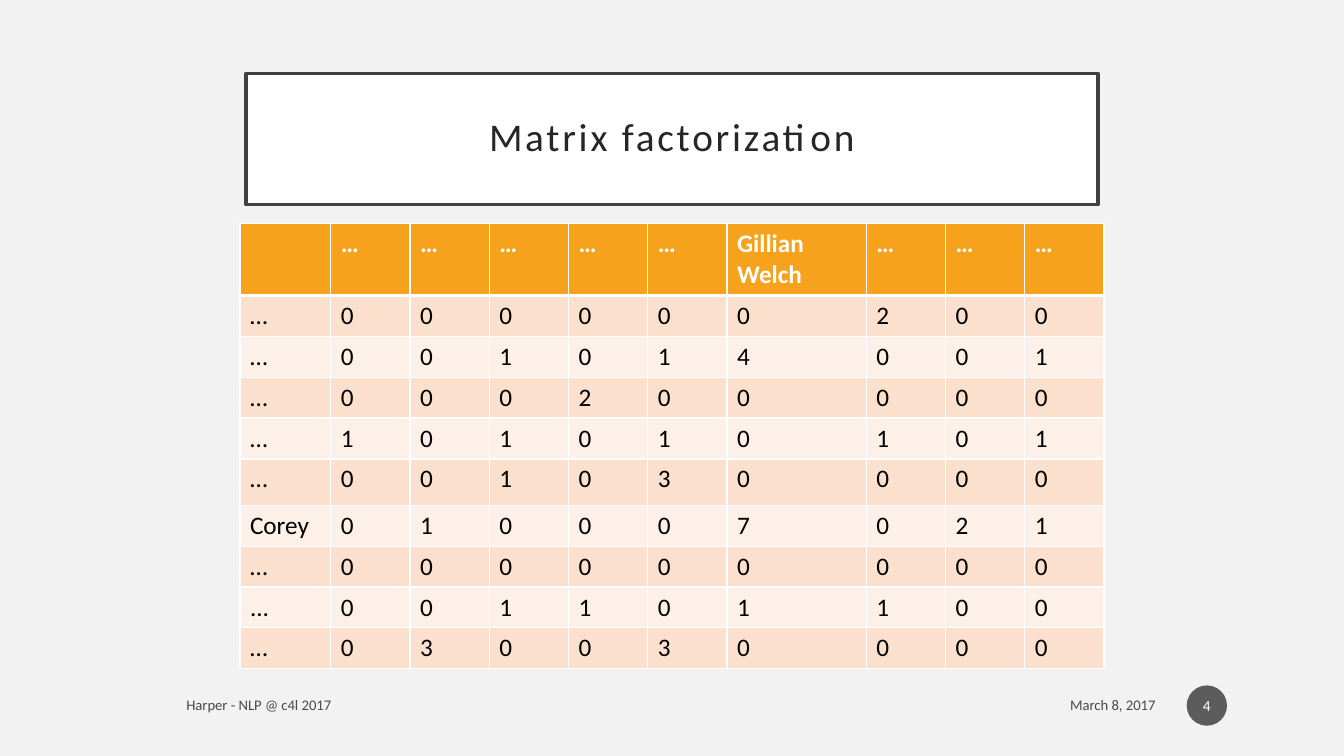
"""Build the matrix factorization slide: title, count table and footer."""
from dataclasses import dataclass

from lxml.etree import SubElement
from pptx import Presentation
from pptx.dml.color import RGBColor
from pptx.enum.shapes import MSO_SHAPE as Shape
from pptx.enum.text import MSO_ANCHOR as Anchor, PP_ALIGN as Align
from pptx.oxml.ns import qn
from pptx.util import Inches, Pt

TITLE = "Matrix factorization"
FOOTER = "Harper - NLP @ c4l 2017"
DATE = "March 8, 2017"
NUMBER = "4"
HEADER = ["", "…", "…", "…", "…", "…", "Gillian Welch", "…", "…", "…"]
COUNTS = [
    ("…", "000000200"),
    ("…", "001014001"),
    ("…", "000200000"),
    ("…", "101010101"),
    ("…", "001030000"),
    ("Corey", "010007021"),
    ("…", "000000000"),
    ("...", "001101100"),
    ("…", "030030000"),
]

PAGE_WIDTH, PAGE_HEIGHT = 13.33, 7.5
TITLE_BOX = (2.44, 0.73, 8.45, 1.3)
DATE_BOX = (8.55, 6.82, 3.01, 0.35)
FOOTER_BOX = (1.75, 6.82, 6.45, 0.35)
NUMBER_BOX = (11.77, 6.8, 0.4, 0.4)
TABLE_LEFT, TABLE_TOP, TABLE_WIDTH = 2.38, 2.22, 8.57
WIDE_COLUMNS = {0: 0.9, 6: 1.38}
ROW_HEIGHT = 0.4
TALL_ROWS = {5: 0.46}


@dataclass(frozen=True)
class Theme:
    font: str = "Calibri"
    page: str = "F2F2F2"
    white: str = "FFFFFF"
    black: str = "000000"
    frame: str = "404040"
    title: str = "262626"
    badge: str = "1D1D1D"
    header: str = "F6A21D"
    bands: tuple = ("FBE0CD", "FDF0E8")
    title_size: float = 28
    table_size: float = 18
    footer_size: float = 10.5
    number_size: float = 11
    soft: int = 70


THEME = Theme()


def color(value):
    return RGBColor.from_string(value)


def set_alpha(fill_element, percent):
    tint = fill_element.find(".//" + qn("a:srgbClr"))
    SubElement(tint, qn("a:alpha"), val=str(percent * 1000))


def write(frame, text, size, ink, bold=False, align=Align.LEFT, alpha=None,
          tracking=None, line_spacing=None):
    para = frame.paragraphs[0]
    para.alignment = align
    if line_spacing:
        para.line_spacing = line_spacing
    span = para.add_run()
    span.text = text
    span.font.name = THEME.font
    span.font.size = Pt(size)
    span.font.bold = bold
    span.font.color.rgb = color(ink)
    properties = span.font._element
    if alpha:
        set_alpha(properties, alpha)
    if tracking:
        properties.set("spc", str(tracking * 100))


def prepare(frame, side=0.1, end=0.05):
    frame.word_wrap = True
    frame.vertical_anchor = Anchor.MIDDLE
    frame.margin_left = frame.margin_right = Inches(side)
    frame.margin_top = frame.margin_bottom = Inches(end)
    return frame


def add_panel(page, kind, place, fill, line=None, line_width=0):
    panel = page.shapes.add_shape(kind, *map(Inches, place))
    panel.shadow.inherit = False
    panel.fill.solid()
    panel.fill.fore_color.rgb = color(fill)
    if line:
        panel.line.color.rgb = color(line)
        panel.line.width = Pt(line_width)
    else:
        panel.line.fill.background()
    return panel


def add_footer(page, place, text, align):
    box = page.shapes.add_textbox(*map(Inches, place))
    write(prepare(box.text_frame), text, THEME.footer_size, THEME.black,
          align=align, alpha=THEME.soft)


def style_cell(cell, fill, top=1, bottom=1):
    properties = cell._tc.get_or_add_tcPr()
    for side, width in (("L", 1), ("R", 1), ("T", top), ("B", bottom)):
        border = SubElement(properties, qn(f"a:ln{side}"), w=str(Pt(width)))
        paint = SubElement(border, qn("a:solidFill"))
        SubElement(paint, qn("a:srgbClr"), val=THEME.white)
    cell.fill.solid()
    cell.fill.fore_color.rgb = color(fill)


def add_counts(page):
    rows = [HEADER] + [[name, *digits] for name, digits in COUNTS]
    heights = [TALL_ROWS.get(index, ROW_HEIGHT) for index in range(len(rows))]
    narrow = (TABLE_WIDTH - sum(WIDE_COLUMNS.values())) / (len(HEADER) - len(WIDE_COLUMNS))
    place = (TABLE_LEFT, TABLE_TOP, TABLE_WIDTH, sum(heights))
    table = page.shapes.add_table(len(rows), len(HEADER), *map(Inches, place)).table
    table.horz_banding = False
    for index, column in enumerate(table.columns):
        column.width = Inches(WIDE_COLUMNS.get(index, narrow))
    for index, values in enumerate(rows):
        table.rows[index].height = Inches(heights[index])
        heading = index == 0
        fill = THEME.header if heading else THEME.bands[(index - 1) % 2]
        for cell, text in zip(table.rows[index].cells, values):
            style_cell(cell, fill, top=3 if index == 1 else 1, bottom=3 if heading else 1)
            write(cell.text_frame, text, THEME.table_size,
                  THEME.white if heading else THEME.black, bold=heading)


def main():
    deck = Presentation()
    deck.slide_width, deck.slide_height = Inches(PAGE_WIDTH), Inches(PAGE_HEIGHT)
    page = deck.slides.add_slide(deck.slide_layouts[6])
    page.background.fill.solid()
    page.background.fill.fore_color.rgb = color(THEME.page)

    title = add_panel(page, Shape.RECTANGLE, TITLE_BOX, THEME.white, THEME.frame, 2.5)
    write(prepare(title.text_frame, 0.2, 0.2), TITLE, THEME.title_size, THEME.title,
          align=Align.CENTER, tracking=2, line_spacing=0.9)
    add_counts(page)
    add_footer(page, DATE_BOX, DATE, Align.RIGHT)
    add_footer(page, FOOTER_BOX, FOOTER, Align.LEFT)
    badge = add_panel(page, Shape.OVAL, NUMBER_BOX, THEME.badge)
    set_alpha(badge._element.spPr, THEME.soft)
    write(prepare(badge.text_frame, 0.02), NUMBER, THEME.number_size, THEME.white,
          align=Align.CENTER)
    deck.save("out.pptx")


if __name__ == "__main__":
    main()
